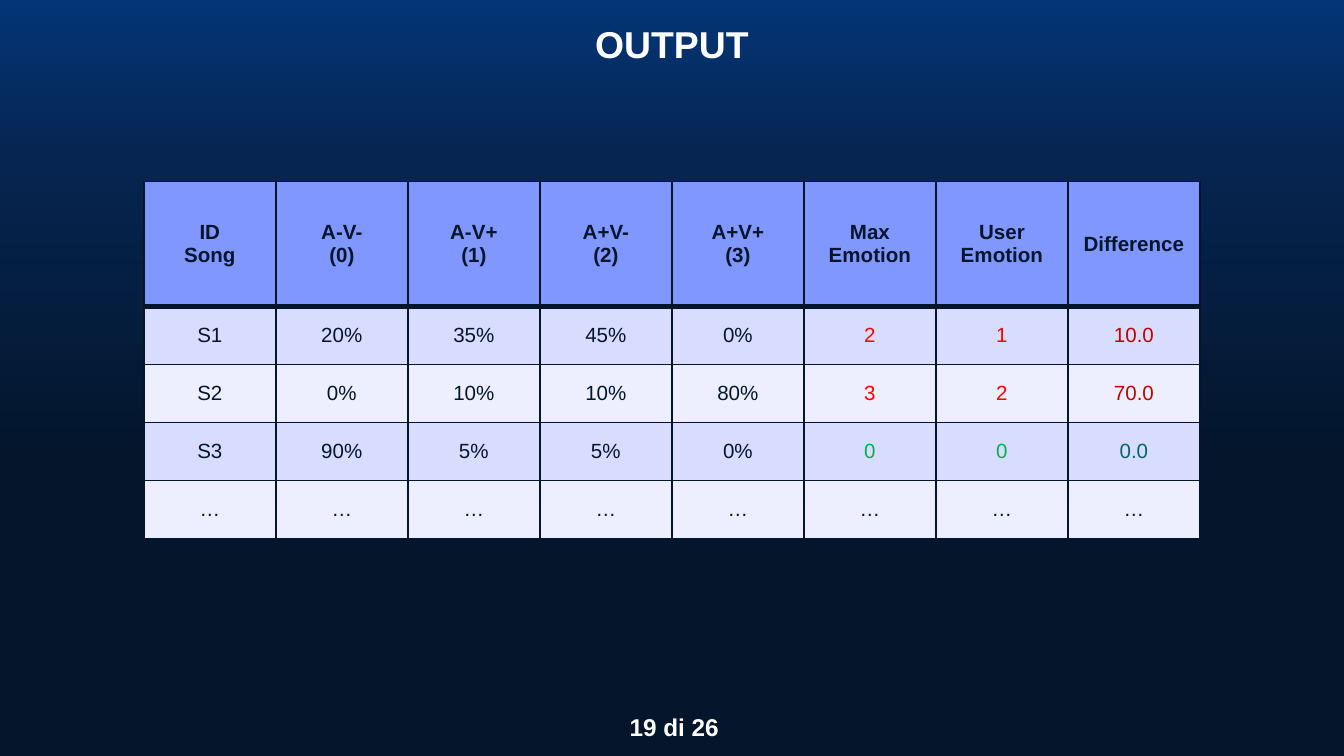
from copy import deepcopy
from dataclasses import dataclass

from lxml import etree
from pptx import Presentation
from pptx.dml.color import RGBColor
from pptx.enum.text import MSO_ANCHOR, PP_ALIGN
from pptx.oxml.ns import qn
from pptx.util import Inches, Pt

CENTER = PP_ALIGN.CENTER
TOP, MIDDLE = MSO_ANCHOR.TOP, MSO_ANCHOR.MIDDLE
TITLE_ONLY = 5
SLIDE_WIDTH = 10
SLIDE_HEIGHT = SLIDE_WIDTH * 9 / 16
GRID = 0.1  # inches per grid column and row


@dataclass(frozen=True)
class Theme:
    font: str = "Arial"
    title_size: int = 20
    page_size: int = 13
    table_size: int = 11
    dark: str = "04152C"
    white: str = "FFFFFF"
    header: str = "8097FF"
    bands: tuple = ("D8DDFF", "EDEFFF")
    mismatch: str = "FF0000"
    high_difference: str = "C00000"
    match: str = "00B050"
    no_difference: str = "006666"
    background: tuple = ((0, "043577"), (0.21, "062550"),
                         (0.61, "04152C"), (1, "04152C"))


THEME = Theme()

HEADERS = ["ID\nSong", "A-V-\n(0)", "A-V+\n(1)", "A+V-\n(2)", "A+V+\n(3)",
           "Max\nEmotion", "User\nEmotion", "Difference"]
SONGS = [
    ["S1", "20%", "35%", "45%", "0%", "2", "1", "10.0"],
    ["S2", "0%", "10%", "10%", "80%", "3", "2", "70.0"],
    ["S3", "90%", "5%", "5%", "0%", "0", "0", "0.0"],
    ["…"] * len(HEADERS),
]


def grid(units):
    return Inches(units * GRID)


def write_text(text_frame, text, *, size, color, bold=False):
    """Write one centred paragraph per line of text."""
    for index, line in enumerate(text.split("\n")):
        paragraph = text_frame.paragraphs[0] if index == 0 else text_frame.add_paragraph()
        paragraph.alignment = CENTER
        run = paragraph.add_run()
        run.text = line
        run.font.name = THEME.font
        run.font.size = Pt(size)
        run.font.bold = bold
        run.font.color.rgb = RGBColor.from_string(color)


def value_color(song, column):
    """Colour the last three columns by agreement of the two emotions."""
    if column < 5 or song[0] == "…":
        return THEME.dark
    if song[5] == song[6]:
        return THEME.no_difference if column == 7 else THEME.match
    return THEME.high_difference if column == 7 else THEME.mismatch


class SlideBuilder:
    def __init__(self, presentation, theme):
        self.theme = theme
        self.slide = presentation.slides.add_slide(presentation.slide_layouts[TITLE_ONLY])

    def background(self):
        fill = self.slide.background.fill
        fill.gradient()
        fill.gradient_angle = 270
        stop_list = self.slide.element.find(".//" + qn("a:gsLst"))
        while len(stop_list) < len(self.theme.background):
            stop_list.append(deepcopy(stop_list[0]))
        for stop, (position, color) in zip(fill.gradient_stops, self.theme.background):
            stop.position = position
            stop.color.rgb = RGBColor.from_string(color)

    def title(self, text, left, top, width, height):
        shape = self.slide.shapes.title
        shape.left, shape.top = grid(left), grid(top)
        shape.width, shape.height = grid(width), grid(height)
        shape.text_frame.vertical_anchor = TOP
        write_text(shape.text_frame, text, size=self.theme.title_size,
                   color=self.theme.white, bold=True)

    def page_number(self, text, left, top, width, height):
        shape = self.slide.shapes.add_textbox(grid(left), grid(top), grid(width), grid(height))
        frame = shape.text_frame
        frame.word_wrap = True
        frame.vertical_anchor = MIDDLE
        frame.margin_left = frame.margin_right = frame.margin_top = frame.margin_bottom = 0
        write_text(frame, text, size=self.theme.page_size,
                   color=self.theme.white, bold=True)

    def borders(self, cell, **widths):
        properties = cell._tc.get_or_add_tcPr()
        for side in "LRTB":
            line = etree.SubElement(properties, qn(f"a:ln{side}"),
                                    w=str(Pt(widths.get(side, 1))))
            solid = etree.SubElement(line, qn("a:solidFill"))
            etree.SubElement(solid, qn("a:srgbClr"), val=self.theme.dark)

    def cell(self, cell, text, fill, color, bold=False, **border_widths):
        self.borders(cell, **border_widths)
        cell.fill.solid()
        cell.fill.fore_color.rgb = RGBColor.from_string(fill)
        cell.vertical_anchor = MIDDLE
        cell.margin_left = cell.margin_right = Inches(0.05)
        write_text(cell.text_frame, text, size=self.theme.table_size,
                   color=color, bold=bold)

    def table(self, headers, songs, left, top, width, header_height, row_height):
        height = header_height + row_height * len(songs)
        table = self.slide.shapes.add_table(
            len(songs) + 1, len(headers),
            grid(left), grid(top), grid(width), grid(height)).table
        for row_index, row in enumerate(table.rows):
            row.height = grid(row_height if row_index else header_height)
        for column, header in enumerate(headers):
            self.cell(table.cell(0, column), header, self.theme.header,
                      self.theme.dark, bold=True, B=3)
        for index, song in enumerate(songs):
            fill = self.theme.bands[index % 2]
            top_width = 3 if index == 0 else 1
            for column, value in enumerate(song):
                self.cell(table.cell(index + 1, column), value, fill,
                          value_color(song, column), T=top_width)


def main():
    presentation = Presentation()
    presentation.slide_width = Inches(SLIDE_WIDTH)
    presentation.slide_height = Inches(SLIDE_HEIGHT)

    builder = SlideBuilder(presentation, THEME)
    builder.background()
    # Results table
    builder.table(HEADERS, SONGS, left=10.7, top=13.5, width=78.6,
                  header_height=9.3, row_height=4.32)
    # Heading and page number
    builder.title("OUTPUT", 13.55, 1.1, 72.9, 4.4)
    builder.page_number("19 di 26", 46.2, 51.9, 7.9, 4.4)

    presentation.save("out.pptx")


if __name__ == "__main__":
    main()
